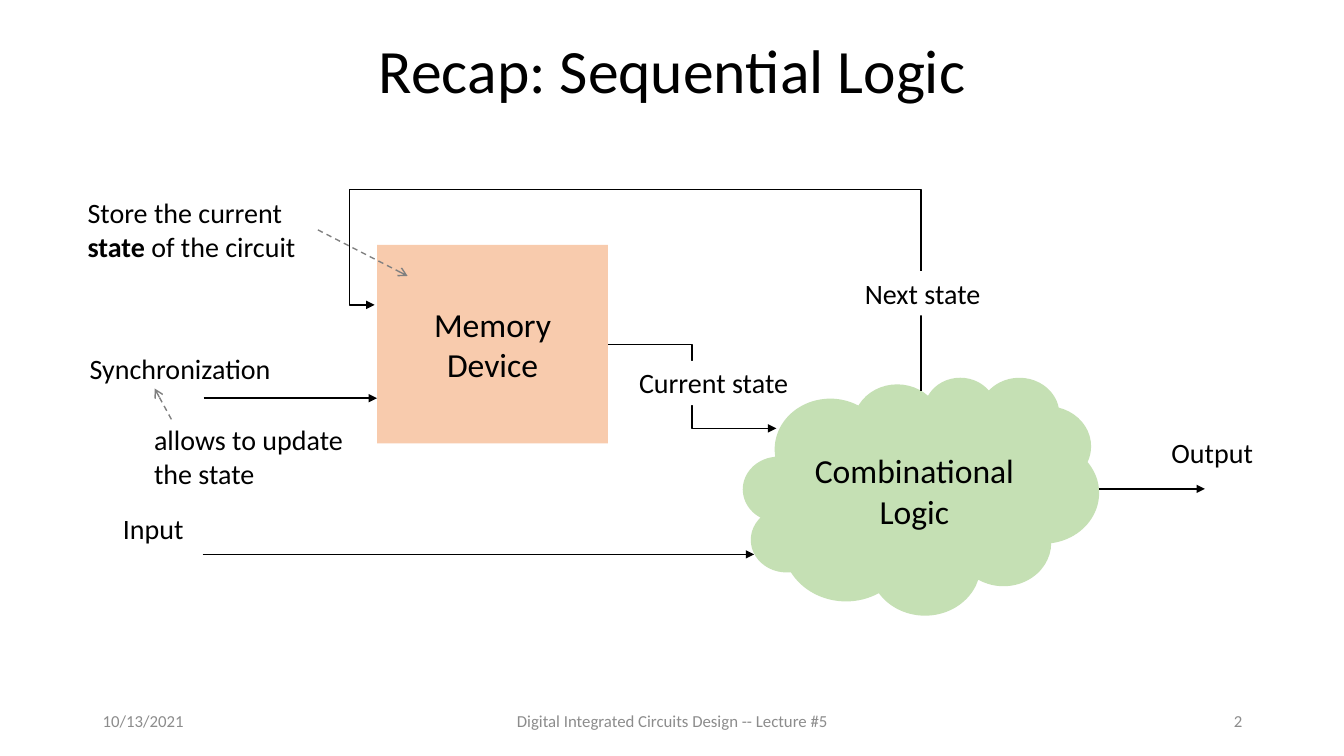
from lxml import etree
from pptx import Presentation
from pptx.dml.color import RGBColor
from pptx.enum.dml import MSO_LINE
from pptx.enum.shapes import MSO_CONNECTOR, MSO_SHAPE
from pptx.enum.text import MSO_ANCHOR, MSO_AUTO_SIZE, PP_ALIGN
from pptx.oxml.ns import qn
from pptx.util import Inches, Pt

LEFT, CENTER, RIGHT = PP_ALIGN.LEFT, PP_ALIGN.CENTER, PP_ALIGN.RIGHT
TOP, MIDDLE = MSO_ANCHOR.TOP, MSO_ANCHOR.MIDDLE
STRAIGHT, ELBOW = MSO_CONNECTOR.STRAIGHT, MSO_CONNECTOR.ELBOW
RECTANGLE, CLOUD = MSO_SHAPE.RECTANGLE, MSO_SHAPE.CLOUD
CALLOUT = MSO_SHAPE.LINE_CALLOUT_1_NO_BORDER
COLORS = {"text": "000000", "footer": "8C8C8C", "memory": "F8CBAD",
          "logic": "C5E0B4", "label": "FFFFFF", "note": "808080"}
CELL = Inches(1)  # one column or row of the page grid


def cells(*lengths):
    return [round(length * CELL) for length in lengths]


def write(box, spans, size, color="text", align=LEFT, anchor=MIDDLE, wrap=True):
    frame = box.text_frame
    frame.word_wrap = wrap
    frame.vertical_anchor = anchor
    para = frame.paragraphs[0]
    para.alignment = align
    for words, bold in spans:
        span = para.add_run()
        span.text = words
        span.font.name = "Calibri"
        span.font.size = Pt(size)
        span.font.bold = bold
        span.font.color.rgb = RGBColor.from_string(COLORS[color])
    return para


deck = Presentation()
deck.slide_width, deck.slide_height = cells(13.33, 7.5)
page = deck.slides.add_slide(deck.slide_layouts[6])
shapes = page.shapes

# Title and footer
title = shapes.add_textbox(*cells(0.92, 0.33, 11.5, 0.79))
write(title, [("Recap: Sequential Logic", False)], 44, align=CENTER).line_spacing = 0.9
for left, width, words, align in [
    (0.92, 3, "10/13/2021", LEFT),
    (4.42, 4.5, "Digital Integrated Circuits Design -- Lecture #5", CENTER),
    (9.42, 3, "2", RIGHT),
]:
    footer = shapes.add_textbox(*cells(left, 6.95, width, 0.4))
    write(footer, [(words, False)], 12, "footer", align)

# Logic cloud and memory block
blocks = {}
for name, kind, place, words in [
    ("logic", CLOUD, (7.37, 3.74, 3.53, 2.36), "Combinational Logic"),
    ("memory", RECTANGLE, (3.74, 2.43, 2.29, 1.97), "Memory Device"),
]:
    block = blocks[name] = shapes.add_shape(kind, *cells(*place))
    block.shadow.inherit = False
    block.fill.solid()
    block.fill.fore_color.rgb = RGBColor.from_string(COLORS[name])
    block.line.fill.background()
    para = write(block, [(words, False)], 24, align=CENTER)
    if name == "logic":
        para._p.get_or_add_pPr().set("marL", str(Inches(0.12)))

# Signals
signals = {}
for name, kind, ends in [
    ("current state", ELBOW, (6.03, 3.42, 7.7, 4.25)),
    ("input", STRAIGHT, (2.01, 5.5, 7.48, 5.5)),
    ("synchronization", STRAIGHT, (2.02, 3.95, 3.74, 3.95)),
    ("next state", ELBOW, (6, 0.74, 6.85, 6.16)),
    ("output", STRAIGHT, (10.9, 4.85, 11.95, 4.85)),
]:
    signal = signals[name] = shapes.add_connector(kind, *cells(*ends))
signals["current state"].begin_connect(blocks["memory"], 3)

# The feedback signal is a four-part elbow, turned to leave the cloud upwards
feedback = signals["next state"]._element.spPr
turn = feedback.find(qn("a:xfrm"))
turn.set("rot", str(270 * 60000))
turn.set("flipV", "1")
bend = feedback.find(qn("a:prstGeom"))
bend.set("prst", "bentConnector4")
guides = bend.find(qn("a:avLst"))
for guide, share in [("adj1", 2.349), ("adj2", 1.046)]:
    etree.SubElement(guides, qn("a:gd"), name=guide, fmla=f"val {round(share * 100000)}")

# Signal labels
for left, top, width, words in [
    (8.48, 2.69, 1.36, "Next state"),
    (6.24, 3.58, 1.7, "Current state"),
    (1.12, 5.03, 0.81, "Input"),
    (11.52, 4.27, 1.02, "Output"),
    (0.79, 3.44, 2.01, "Synchronization"),
]:
    label = shapes.add_shape(RECTANGLE, *cells(left, top, width, 0.44))
    label.shadow.inherit = False
    label.fill.solid()
    label.fill.fore_color.rgb = RGBColor.from_string(COLORS["label"])
    label.line.fill.background()
    write(label, [(words, False)], 20, anchor=TOP, wrap=False)
    label.text_frame.auto_size = MSO_AUTO_SIZE.SHAPE_TO_FIT_TEXT

# Notes with dashed pointers
notes = []
for left, top, pointer, spans in [
    (0.77, 1.58, (0.504, -0.014, 0.833, -0.393),
     [("Store the current ", False), ("state", True), (" of the circuit", False)]),
    (1.43, 3.83, (0.238, 0.885, 0.017, 0.956), [("allows to update the state", False)]),
]:
    note = shapes.add_shape(CALLOUT, *cells(left, top, 2.35, 1.39))
    note.shadow.inherit = False
    note.fill.background()
    note._element.spPr.find(qn("a:xfrm")).set("flipH", "1")
    for index, share in enumerate(pointer):
        note.adjustments[index] = share
    write(note, spans, 20)
    notes.append(note)

# Strokes and arrowheads
for strokes, color, dash, head in [
    (signals.values(), "text", MSO_LINE.SOLID, "triangle"),
    (notes, "note", MSO_LINE.DASH, "arrow"),
]:
    for stroke in strokes:
        stroke.line.width = Pt(1)
        stroke.line.color.rgb = RGBColor.from_string(COLORS[color])
        stroke.line.dash_style = dash
        properties = stroke._element.spPr
        etree.SubElement(properties.find(qn("a:ln")), qn("a:tailEnd"), type=head)
        if properties.find(qn("a:effectLst")) is None:
            etree.SubElement(properties, qn("a:effectLst"))

deck.save("out.pptx")
